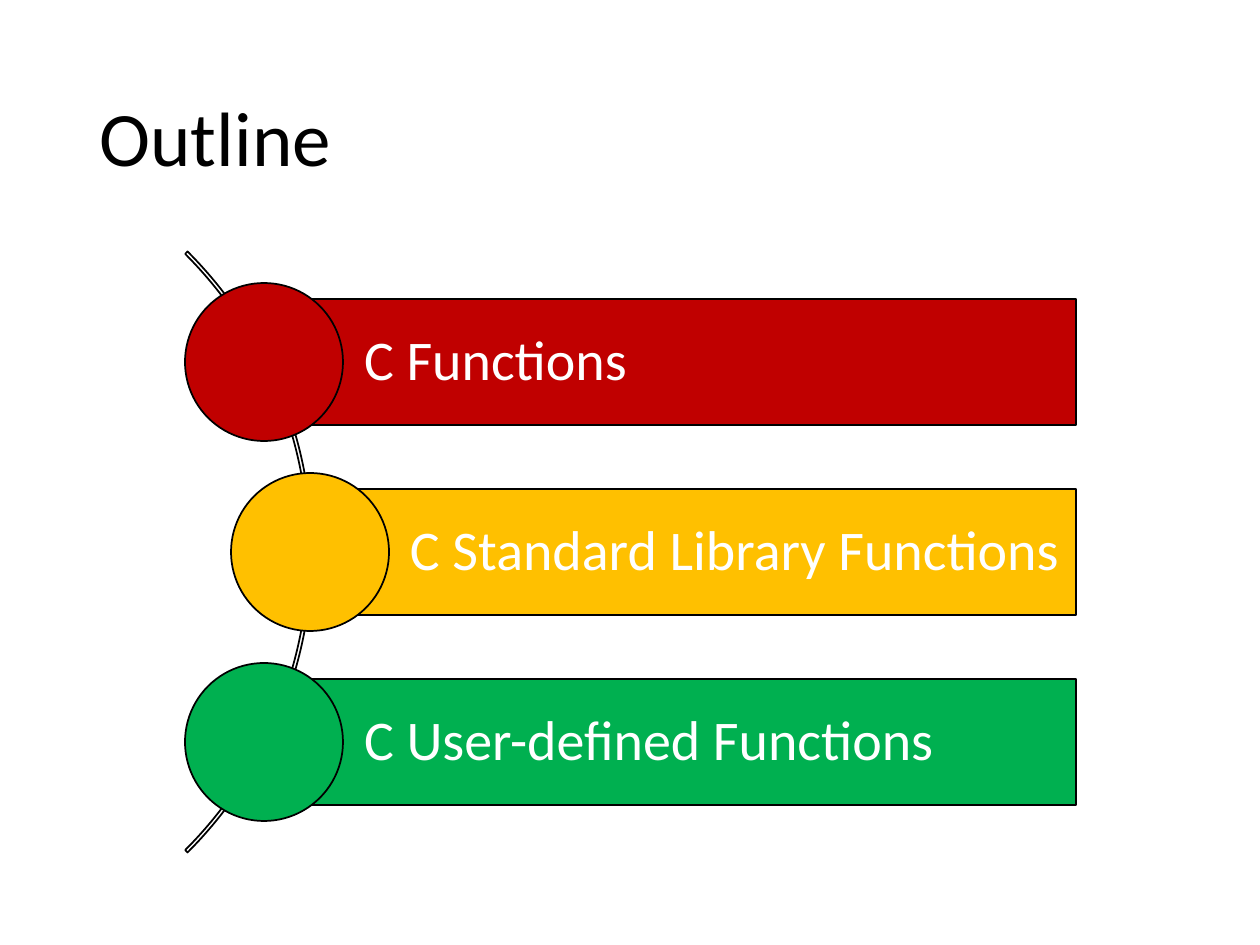
from pptx import Presentation
from pptx.dml.color import RGBColor
from pptx.enum.shapes import MSO_SHAPE
from pptx.enum.text import MSO_ANCHOR, PP_ALIGN
from pptx.util import Emu, Pt

BLACK = RGBColor(0x00, 0x00, 0x00)
WHITE = RGBColor(0xFF, 0xFF, 0xFF)
RED = RGBColor(0xC0, 0x00, 0x00)
AMBER = RGBColor(0xFF, 0xC0, 0x00)
GREEN = RGBColor(0x00, 0xB0, 0x50)

MIDDLE_Y, STEP = 552, 190
BAR_RIGHT, BAR_HEIGHT = 1076, 126
DIAMETER = 158
ARC_CENTER_X, ARC_DIAMETER = -113, 850


def px(length):
    return Emu(round(length * 914400 / 126))


def add_outlined(kind, left, top, width, height, color=None):
    """Add a black-outlined shape, unfilled when no color is given."""
    shape = page.shapes.add_shape(kind, px(left), px(top), px(width), px(height))
    shape.shadow.inherit = False
    shape.line.color.rgb = BLACK
    shape.line.width = Pt(1)
    if color is None:
        shape.fill.background()
    else:
        shape.fill.solid()
        shape.fill.fore_color.rgb = color
    return shape


deck = Presentation()
deck.slide_width, deck.slide_height = px(1260), px(945)
page = deck.slides.add_slide(deck.slide_layouts[5])

title = page.shapes.title
title.left, title.top, title.width, title.height = px(87), px(50), px(1086), px(183)
title.text_frame.text = "Outline"
title.text_frame.vertical_anchor = MSO_ANCHOR.MIDDLE
para = title.text_frame.paragraphs[0]
para.alignment = PP_ALIGN.LEFT
para.line_spacing = 0.9
para.font.name = "Calibri"
para.font.size = Pt(44)
para.font.color.rgb = BLACK

arc = add_outlined(MSO_SHAPE.BLOCK_ARC, ARC_CENTER_X - ARC_DIAMETER / 2,
                   MIDDLE_Y - ARC_DIAMETER / 2, ARC_DIAMETER, ARC_DIAMETER)
# Start and end angles of 315 and 45 degrees, then the band thickness
for index, value in enumerate((189, 27, 0.004)):
    arc.adjustments[index] = value

topics = [
    ("C Functions", RED, 264),
    ("C Standard Library Functions", AMBER, 310),
    ("C User-defined Functions", GREEN, 264),
]
for row, (topic, color, center_x) in enumerate(topics):
    center_y = MIDDLE_Y + (row - 1) * STEP
    bar = add_outlined(MSO_SHAPE.RECTANGLE, center_x, center_y - BAR_HEIGHT / 2,
                       BAR_RIGHT - center_x, BAR_HEIGHT, color)
    frame = bar.text_frame
    frame.text = topic
    frame.vertical_anchor = MSO_ANCHOR.MIDDLE
    frame.margin_left = px(100)
    frame.margin_right = frame.margin_top = frame.margin_bottom = px(11)
    para = frame.paragraphs[0]
    para.alignment = PP_ALIGN.LEFT
    para.line_spacing = 0.9
    para.font.name = "Calibri"
    para.font.size = Pt(32)
    para.font.color.rgb = WHITE
    add_outlined(MSO_SHAPE.OVAL, center_x - DIAMETER / 2, center_y - DIAMETER / 2,
                 DIAMETER, DIAMETER, color)

deck.save("out.pptx")
